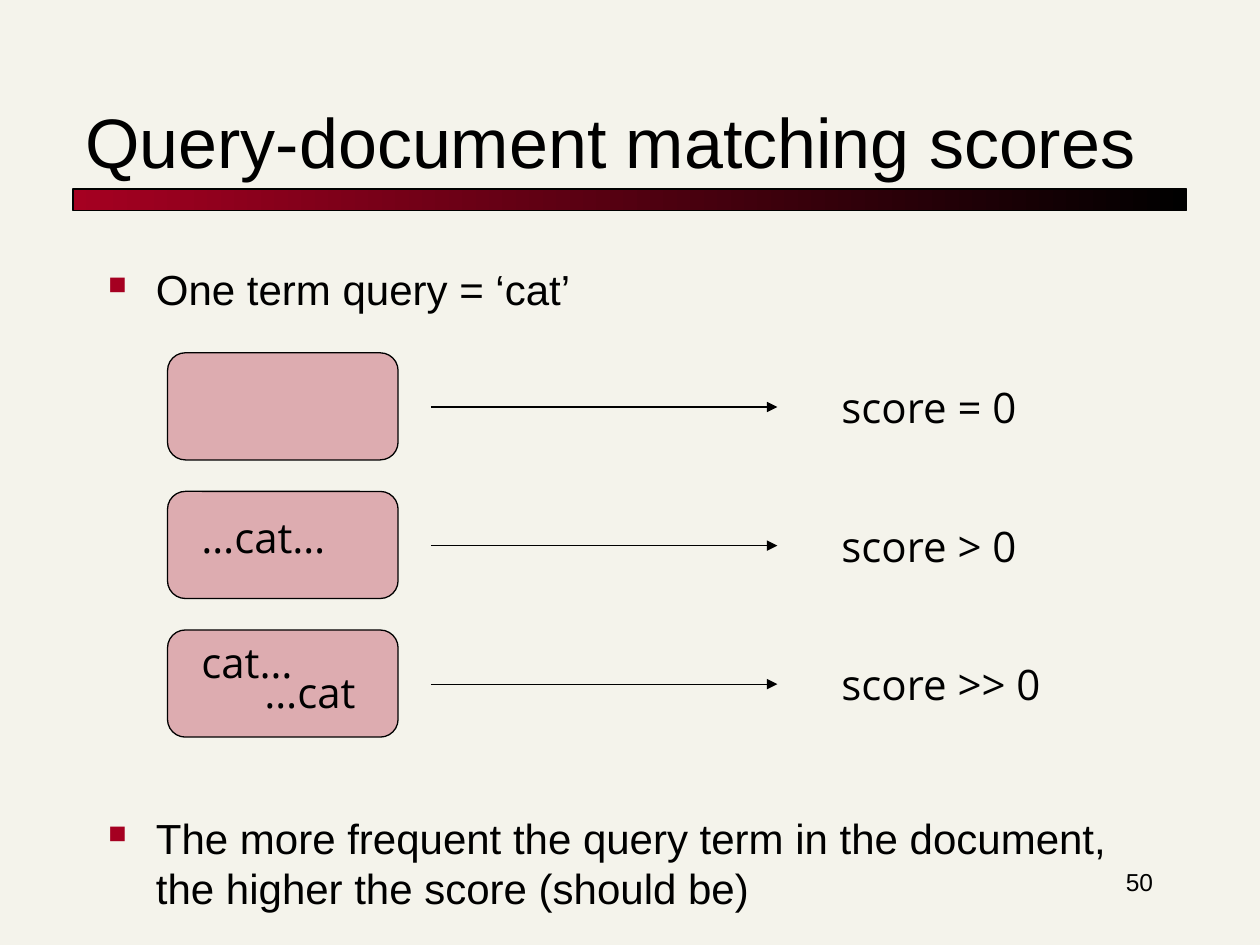
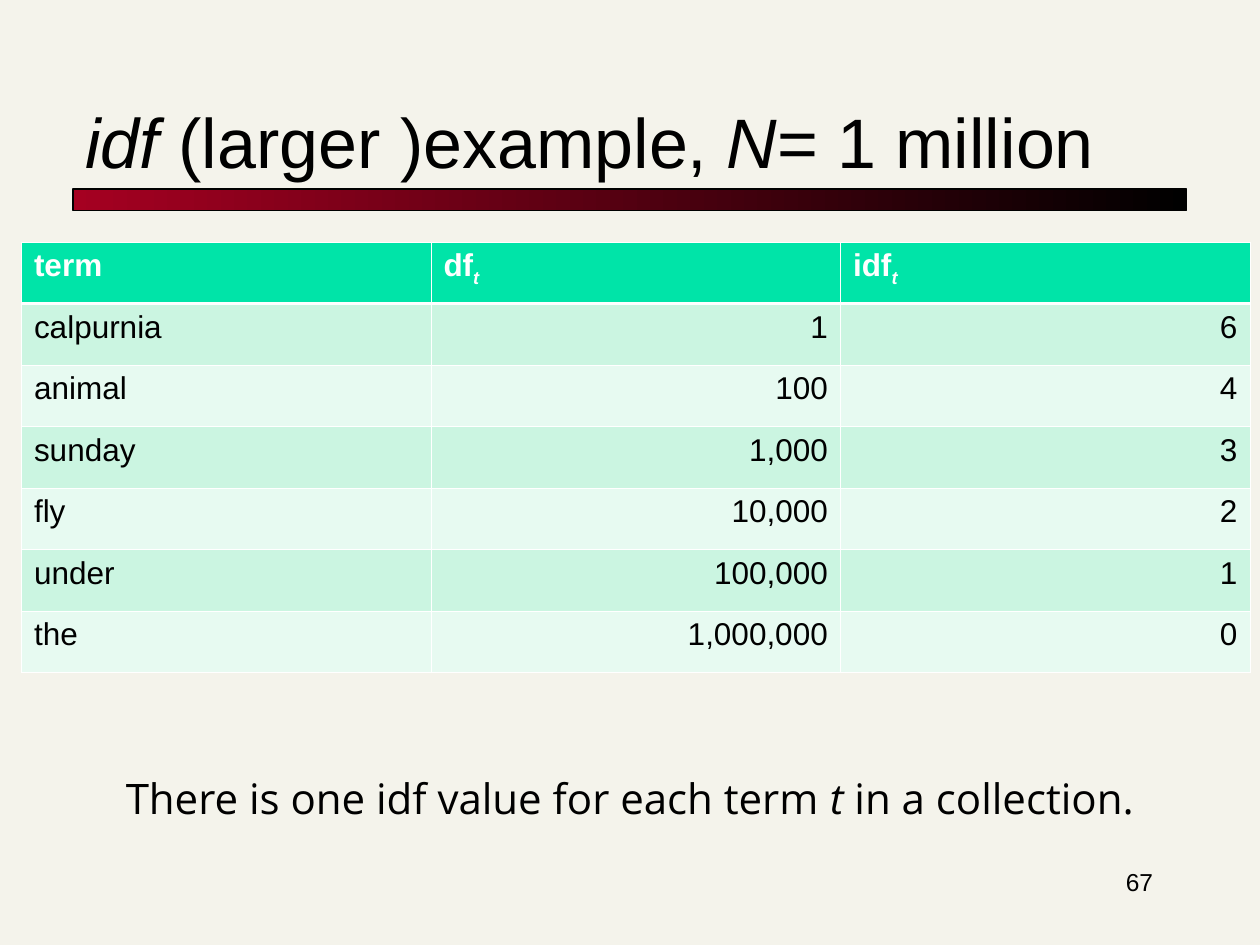
from lxml import etree
from pptx import Presentation
from pptx.dml.color import RGBColor
from pptx.enum.shapes import MSO_CONNECTOR, MSO_SHAPE
from pptx.enum.text import MSO_ANCHOR, PP_ALIGN
from pptx.oxml import parse_xml
from pptx.oxml.ns import nsdecls, qn
from pptx.util import Inches, Pt

RECT, ROUND = MSO_SHAPE.RECTANGLE, MSO_SHAPE.ROUNDED_RECTANGLE
LINE = MSO_CONNECTOR.STRAIGHT
LEFT, RIGHT = PP_ALIGN.LEFT, PP_ALIGN.RIGHT
TOP, BOTTOM = MSO_ANCHOR.TOP, MSO_ANCHOR.BOTTOM

PAPER = RGBColor(0xF4, 0xF3, 0xEB)
RED = RGBColor(0xA5, 0x00, 0x21)
BLACK = RGBColor(0x00, 0x00, 0x00)
WHITE = RGBColor(0xFF, 0xFF, 0xFF)
HEAD = RGBColor(0x00, 0xE4, 0xA8)
DARK = RGBColor(0xCB, 0xF5, 0xE1)
LIGHT = RGBColor(0xE7, 0xFA, 0xF1)
SANS, OPEN = "Arial", "Open Sans"


def write(frame, *paras, size=24, font=SANS, color=BLACK, bold=False,
          align=LEFT, anchor=TOP, bullet=False, gap=0):
    """Fill a frame; a paragraph is a string or a list of (text, style) runs.

    In a style, "i" means italic and "s" means subscript.
    """
    frame.word_wrap = True
    frame.vertical_anchor = anchor
    for num, runs in enumerate(paras):
        para = frame.add_paragraph() if num else frame.paragraphs[0]
        para.alignment = align
        if num:
            para.space_before = Pt(gap)
        if bullet:
            props = para._p.get_or_add_pPr()
            props.set("marL", str(Inches(0.38)))
            props.set("indent", str(-Inches(0.38)))
            tint = etree.SubElement(props, qn("a:buClr"))
            etree.SubElement(tint, qn("a:srgbClr"), val=str(RED))
            etree.SubElement(props, qn("a:buSzPct"), val="60000")
            etree.SubElement(props, qn("a:buChar"), char="■")
        for text, style in [(runs, "")] if isinstance(runs, str) else runs:
            run = para.add_run()
            run.text = text
            run.font.size, run.font.name = Pt(size), font
            run.font.color.rgb, run.font.bold = color, bold
            run.font.italic = "i" in style
            if "s" in style:
                run.font._element.set("baseline", "-25000")


def label(slide, x, y, w, h, *paras, **form):
    """Add a text box, with places in inches."""
    box = slide.shapes.add_textbox(Inches(x), Inches(y), Inches(w), Inches(h))
    write(box.text_frame, *paras, **form)


deck = Presentation()
deck.slide_width, deck.slide_height = Inches(10), Inches(7.5)
ground = deck.slide_master.background.fill
ground.solid()
ground.fore_color.rgb = PAPER

# Shared frame: band, page number and title
pages = [
    ("50", "Query-document matching scores"),
    ("67", [("idf", "i"), (" (larger )example, ", ""), ("N", "i"),
            ("= 1 million", "")]),
]
for page, title in pages:
    slide = deck.slides.add_slide(deck.slide_layouts[6])
    band = slide.shapes.add_shape(
        RECT, Inches(0.58), Inches(1.5), Inches(8.84), Inches(0.17))
    band.shadow.inherit = False
    band.fill.gradient()
    band.fill.gradient_angle = 0
    for stop, color in zip(band.fill.gradient_stops, (RED, BLACK)):
        stop.color.rgb = color
    band.line.color.rgb, band.line.width = BLACK, Pt(0.75)
    label(slide, 7.17, 6.83, 2.08, 0.5, page, size=14, align=RIGHT)
    label(slide, 0.58, 0.42, 8.83, 1.08, title, size=40, anchor=BOTTOM)
scores, sample = deck.slides

# Matching scores
label(scores, 0.76, 2.04, 8.5, 5.29, "One term query = ‘cat’",
      "The more frequent the query term in the document, "
      "the higher the score (should be)", bullet=True, gap=285)

for row, score in enumerate(("score = 0", "score > 0", "score >> 0")):
    y = 2.8 + 1.1 * row
    doc = scores.shapes.add_shape(
        ROUND, Inches(1.33), Inches(y), Inches(1.83), Inches(0.85))
    doc.shadow.inherit = False
    doc.fill.solid()
    doc.fill.fore_color.rgb = RED
    tint = doc._element.spPr.find(qn("a:solidFill"))[0]
    etree.SubElement(tint, qn("a:alpha"), val="29000")
    doc.line.color.rgb, doc.line.width = BLACK, Pt(0.75)

    mid = Inches(y + 0.43)
    arrow = scores.shapes.add_connector(
        LINE, Inches(3.42), mid, Inches(6.17), mid)
    arrow.line.color.rgb, arrow.line.width = BLACK, Pt(0.75)
    etree.SubElement(arrow.line._get_or_add_ln(), qn("a:tailEnd"),
                     type="triangle")
    etree.SubElement(arrow._element.spPr, qn("a:effectLst"))
    label(scores, 6.58, y + 0.18, 2, 0.5, score, font=OPEN)

for x, y, word in ((1.5, 4.01, "…cat…"), (2, 5.24, "…cat"), (1.5, 5, "cat…")):
    label(scores, x, y, 1.42, 0.5, word, font=OPEN)

# Sample idf values
rows = [
    ("term", [("df", ""), ("t", "is")], [("idf", ""), ("t", "is")]),
    ("calpurnia", "1", "6"),
    ("animal", "100", "4"),
    ("sunday", "1,000", "3"),
    ("fly", "10,000", "2"),
    ("under", "100,000", "1"),
    ("the", "1,000,000", "0"),
]
grid = sample.shapes.add_table(
    len(rows), 3, Inches(0.17), Inches(1.92), Inches(9.75), Inches(3.42)).table
for r, texts in enumerate(rows):
    for c, text in enumerate(texts):
        cell = grid.cell(r, c)
        cell.fill.solid()
        cell.fill.fore_color.rgb = (DARK if r % 2 else LIGHT) if r else HEAD
        write(cell.text_frame, text, size=18, bold=r == 0,
              color=BLACK if r else WHITE, align=RIGHT if r and c else LEFT)
        for spot, side in enumerate("LRTB"):
            thick = (r, side) in ((0, "B"), (1, "T"))
            edge = parse_xml(
                f'<a:ln{side} {nsdecls("a")} w="{Pt(1.47 if thick else 0.45)}">'
                f'<a:solidFill><a:srgbClr val="{WHITE}"/></a:solidFill>'
                f'</a:ln{side}>')
            cell._tc.get_or_add_tcPr().insert(spot, edge)

label(sample, 0.9, 6.08, 8.27, 0.5,
      [("There is one idf value for each term ", ""), ("t", "i"),
       (" in a collection.", "")], font=OPEN)

deck.save("out.pptx")
